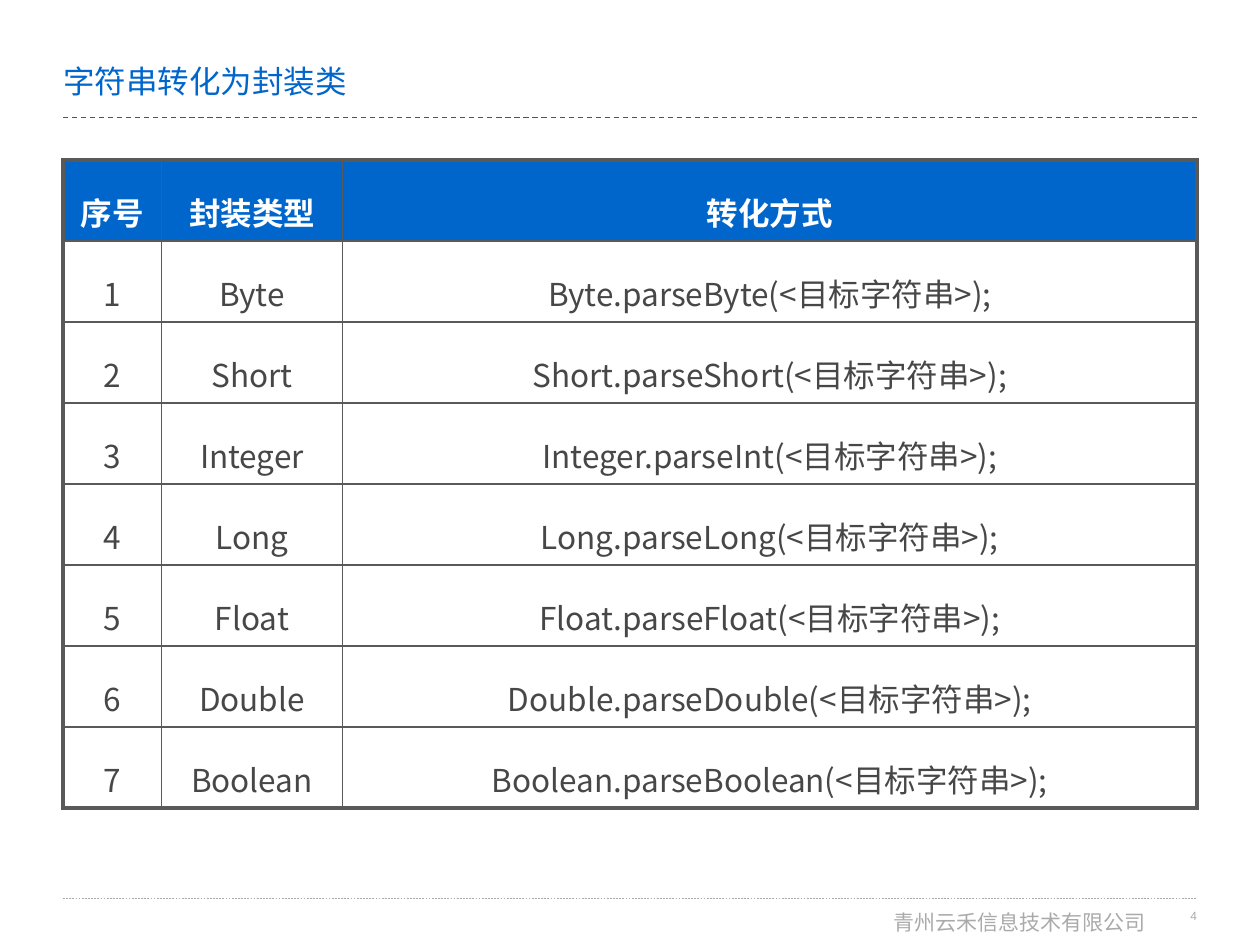
from lxml import etree
from pptx import Presentation
from pptx.dml.color import RGBColor
from pptx.enum.dml import MSO_LINE
from pptx.enum.shapes import MSO_CONNECTOR
from pptx.enum.text import MSO_ANCHOR, PP_ALIGN
from pptx.oxml.ns import qn
from pptx.util import Inches, Pt

LEFT, CENTER, RIGHT = PP_ALIGN.LEFT, PP_ALIGN.CENTER, PP_ALIGN.RIGHT
MIDDLE, DASH, STRAIGHT = MSO_ANCHOR.MIDDLE, MSO_LINE.DASH, MSO_CONNECTOR.STRAIGHT

BLUE = RGBColor(0x00, 0x66, 0xCC)
DARK = RGBColor(0x47, 0x47, 0x47)
BORDER = RGBColor(0x59, 0x59, 0x59)
GRAY = RGBColor(0xAA, 0xAA, 0xAA)
WHITE = RGBColor(0xFF, 0xFF, 0xFF)

THIN, THICK = 1, 2.25
LATIN, CJK = "Arial", "Noto Sans CJK SC"

HEADER = ("序号", "封装类型", "转化方式")
PARSERS = {"Byte": "Byte", "Short": "Short", "Integer": "Int", "Long": "Long",
           "Float": "Float", "Double": "Double", "Boolean": "Boolean"}


class SlideBuilder:
    def __init__(self, s):
        self.s = s

    def add_text(self, tf, text, align, spacing, color, **font):
        p = tf.paragraphs[0]
        p.alignment, p.line_spacing = align, spacing
        r = p.add_run()
        r.text = text
        r.font.color.rgb = color
        for name, value in font.items():
            setattr(r.font, name, value)

    def frame(self, tf, **values):
        for name, value in values.items():
            setattr(tf, name, value)

    def title(self, text, x, y, w, h):
        sp = self.s.shapes.title
        sp.left, sp.top, sp.width, sp.height = map(Inches, (x, y, w, h))
        self.frame(sp.text_frame, margin_left=0, vertical_anchor=MIDDLE, word_wrap=True)
        self.add_text(sp.text_frame, text, LEFT, 0.9, BLUE, size=Pt(18), name=LATIN)

    def footer(self, text, x, y, w, h, size):
        sp = self.s.shapes.add_textbox(*map(Inches, (x, y, w, h)))
        self.frame(sp.text_frame, margin_right=0, word_wrap=False)
        self.add_text(sp.text_frame, text, RIGHT, 1.0, GRAY, size=Pt(size), name=LATIN)

    def rule(self, y, color, width):
        line = self.s.shapes.add_connector(
            STRAIGHT, Inches(0.5), Inches(y), Inches(9.5), Inches(y))
        line.line.color.rgb = color
        line.line.width = Pt(width)
        line.line.dash_style = DASH
        etree.SubElement(line._element.spPr, qn("a:effectLst"))

    def borders(self, cell, widths):
        # Border elements come before the fill in the cell properties
        tcPr = cell._tc.get_or_add_tcPr()
        for i, (side, width) in enumerate(widths.items()):
            ln = etree.Element(qn(f"a:ln{side}"), w=str(Pt(width)))
            fill = etree.SubElement(ln, qn("a:solidFill"))
            etree.SubElement(fill, qn("a:srgbClr"), val=str(BORDER))
            tcPr.insert(i, ln)

    def table(self, rows, x, y, col_widths, row_height):
        n_rows, n_cols = len(rows), len(col_widths)
        table = self.s.shapes.add_table(
            n_rows, n_cols, Inches(x), Inches(y),
            Inches(sum(col_widths)), Inches(row_height * n_rows)).table
        table.first_row = table.horz_banding = False
        for column, width in zip(table.columns, col_widths):
            column.width = Inches(width)
        for i, row in enumerate(rows):
            table.rows[i].height = Inches(row_height)
            head = i == 0
            for j, text in enumerate(row):
                cell = table.cell(i, j)
                cell.fill.solid()
                cell.fill.fore_color.rgb = BLUE if head else WHITE
                self.add_text(cell.text_frame, text, CENTER, 1.5,
                              WHITE if head else DARK,
                              size=Pt(18), name=CJK, bold=head)
                outer = {"L": j == 0, "R": j == n_cols - 1,
                         "T": head, "B": i == n_rows - 1}
                self.borders(cell, {side: THICK if edge else THIN
                                    for side, edge in outer.items()})


def main():
    prs = Presentation()
    prs.slide_width, prs.slide_height = Inches(10), Inches(7.5)
    b = SlideBuilder(prs.slides.add_slide(prs.slide_layouts[5]))

    # Title and rules
    b.title("字符串转化为封装类", 0.5, 0.4, 7.77, 0.52)
    b.rule(0.93, BLUE, 0.75)
    b.rule(7.13, GRAY, 0.25)

    # Conversion table
    rows = [HEADER]
    for number, (kind, suffix) in enumerate(PARSERS.items(), 1):
        rows.append((str(number), kind, f"{kind}.parse{suffix}(<目标字符串>);"))
    b.table(rows, 0.5, 1.27, (0.78, 1.44, 6.78), 0.64)

    # Footer
    b.footer("青州云禾信息技术有限公司", 6.97, 7.17, 2.12, 0.3, 12)
    b.footer("4", 9.28, 7.16, 0.22, 0.21, 6.8)

    prs.save("out.pptx")


if __name__ == "__main__":
    main()
